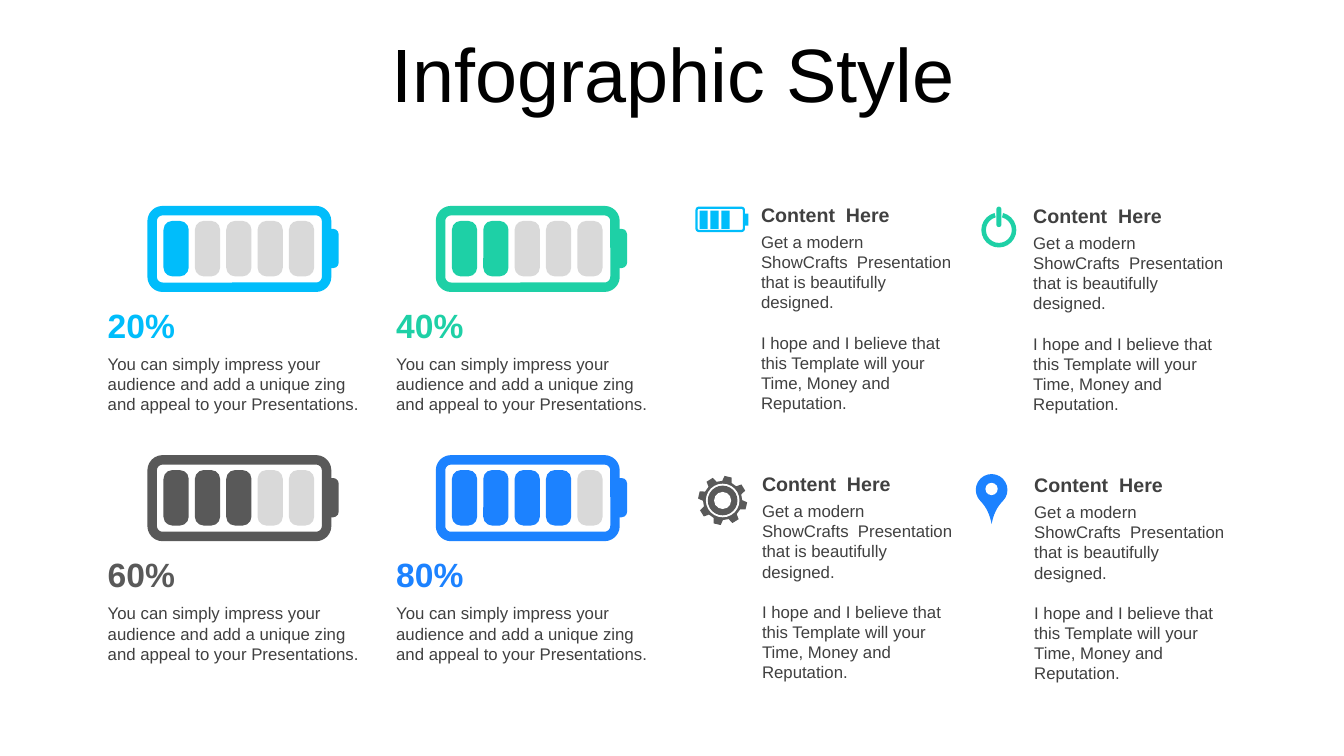
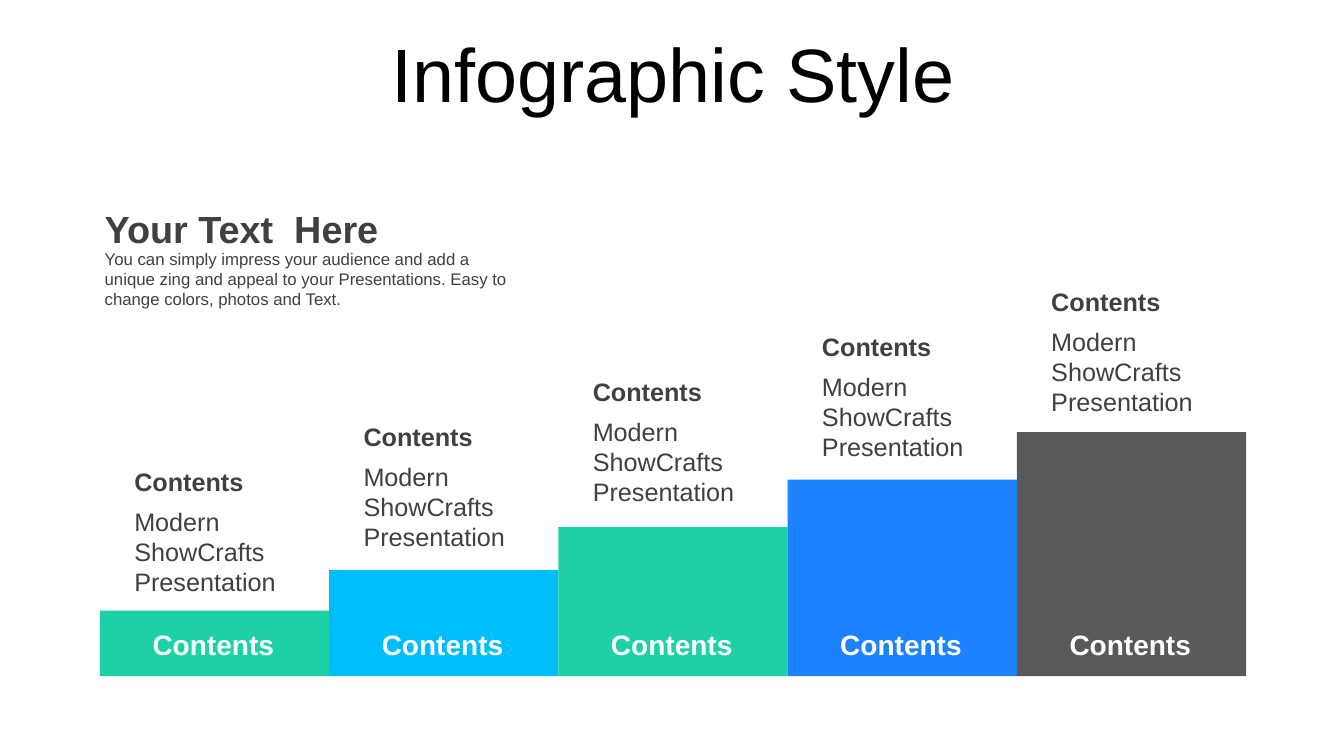
import math

from pptx import Presentation
from pptx.dml.color import RGBColor
from pptx.enum import shapes, text
from pptx.util import Pt

FONT = "Arial"
COLORS = {
    "cyan": "00BDFB",
    "teal": "1ED0A6",
    "gray": "595959",
    "blue": "1C82FF",
    "empty": "D9D9D9",
    "ink": "404040",
    "black": "000000",
    "white": "FFFFFF",
}
KIND = shapes.MSO_SHAPE
ALIGN = text.PP_ALIGN
ANCHOR = text.MSO_ANCHOR


def write(box, *paragraphs, size=12, color="ink", bold=False, align=ALIGN.LEFT,
          anchor=ANCHOR.TOP, left_inset=0, gap=0, line_spacing=None, space_before=0):
    """Fill a box with formatted paragraphs, with gap points between them."""
    frame = box.text_frame
    frame.word_wrap = True
    frame.auto_size = text.MSO_AUTO_SIZE.NONE
    frame.vertical_anchor = anchor
    frame.margin_left, frame.margin_right = Pt(left_inset), Pt(7.2)
    frame.margin_top = frame.margin_bottom = Pt(3.6)
    for index, words in enumerate(paragraphs):
        para = frame.add_paragraph() if index else frame.paragraphs[0]
        para.alignment = align
        para.space_before = Pt(gap if index else space_before)
        para.line_spacing = line_spacing
        span = para.add_run()
        span.text = words
        span.font.name, span.font.size, span.font.bold = FONT, Pt(size), bold
        span.font.color.rgb = RGBColor.from_string(COLORS[color])


def draw(page, kind, left, top, width, height, fill=None, line=None, weight=1, adjust=()):
    shape = page.shapes.add_shape(kind, Pt(left), Pt(top), Pt(width), Pt(height))
    shape.shadow.inherit = False
    for index, value in enumerate(adjust):
        shape.adjustments[index] = value
    if fill:
        shape.fill.solid()
        shape.fill.fore_color.rgb = RGBColor.from_string(COLORS[fill])
    else:
        shape.fill.background()
    if line:
        shape.line.color.rgb = RGBColor.from_string(COLORS[line])
        shape.line.width = Pt(weight)
    else:
        shape.line.fill.background()
    return shape


deck = Presentation()
deck.slide_width, deck.slide_height = Pt(960), Pt(540)
title_only = deck.slide_layouts[5]

pages = []
for title_text in ["Infographic Style"] * 2:
    page = deck.slides.add_slide(title_only)
    title = page.shapes.title
    title.left, title.top, title.width, title.height = Pt(25), Pt(22.3), Pt(911.5), Pt(66.3)
    write(title, title_text, size=54, color="black", align=ALIGN.CENTER,
          anchor=ANCHOR.MIDDLE, left_inset=7.2, line_spacing=0.9, space_before=10)
    pages.append(page)
battery_page, stairs_page = pages

# Battery levels, two by two
CELLS = 5
for index, color in enumerate(["cyan", "teal", "gray", "blue"]):
    row, column = divmod(index, 2)
    left, top = 77 + 206 * column, 150.5 + 178 * row
    level = index + 1
    draw(battery_page, KIND.ROUNDED_RECTANGLE, left + 31.7, top, 124.6, 54.7,
         line=color, weight=6.75, adjust=[0.136])
    draw(battery_page, KIND.ROUNDED_RECTANGLE, left + 154.1, top + 13, 10.8, 28,
         fill=color, adjust=[0.356])
    for cell in range(CELLS):
        draw(battery_page, KIND.ROUNDED_RECTANGLE, left + 39.8 + 22.4 * cell, top + 7.3, 18, 39.6,
             fill=color if cell < level else "empty", adjust=[0.348])
    box = battery_page.shapes.add_textbox(Pt(left), Pt(top + 63.4), Pt(197), Pt(36))
    write(box, f"{100 * level // CELLS}%", size=24, color=color, bold=True, anchor=ANCHOR.MIDDLE)
    box = battery_page.shapes.add_textbox(Pt(left), Pt(top + 98.7), Pt(197), Pt(51))
    write(box, "You can simply impress your audience and add a unique zing "
               "and appeal to your Presentations.")

# Content blocks, two by two
for row in range(2):
    for column in range(2):
        left, top = 543.6 + 194.4 * column + 0.7 * row, 141.1 + 0.7 * column + 192.2 * row
        box = battery_page.shapes.add_textbox(Pt(left), Pt(top), Pt(145), Pt(24.5))
        write(box, "Content  Here", size=14, bold=True, anchor=ANCHOR.MIDDLE)
        box = battery_page.shapes.add_textbox(Pt(left), Pt(top + 20.9), Pt(145), Pt(124))
        write(box, "Get a modern ShowCrafts  Presentation that is beautifully designed.",
              "I hope and I believe that this Template will your Time, Money and Reputation.",
              gap=14.3)

# Small battery icon
draw(battery_page, KIND.ROUNDED_RECTANGLE, 497.6, 148.4, 33.8, 16.6,
     line="cyan", weight=1.6, adjust=[0.1])
draw(battery_page, KIND.RECTANGLE, 532, 152.6, 2.6, 8.6, fill="cyan")
for cell in range(3):
    draw(battery_page, KIND.RECTANGLE, 499.7 + 7.8 * cell, 150.5, 5.9, 13, fill="cyan")

# Power icon: a ring open at the top (block arc angles count 0.6 per degree)
draw(battery_page, KIND.BLOCK_ARC, 701, 151.8, 25, 25, fill="teal",
     adjust=[284 * 0.6, 256 * 0.6, 0.13])
draw(battery_page, KIND.ROUNDED_RECTANGLE, 711.7, 147.6, 3.6, 14.6, fill="teal", adjust=[0.5])

# Gear icon
gear_x, gear_y, teeth = 516.2, 357.5, 8
tooth_profile = [(14, -14), (17.6, -8.5), (17.6, 8.5), (14, 14)]
outline = []
for tooth in range(teeth):
    for radius, offset in tooth_profile:
        angle = math.radians(-77 + 360 / teeth * tooth + offset)
        outline.append((Pt(gear_x + radius * math.cos(angle)),
                        Pt(gear_y + radius * math.sin(angle))))
builder = battery_page.shapes.build_freeform(*outline[0])
builder.add_line_segments(outline[1:])
gear = builder.convert_to_shape()
gear.shadow.inherit = False
gear.fill.solid()
gear.fill.fore_color.rgb = RGBColor.from_string(COLORS["gray"])
gear.line.fill.background()
for radius, color in [(12, "white"), (10.6, "gray"), (6.1, "white")]:
    draw(battery_page, KIND.OVAL, gear_x - radius, gear_y - radius, 2 * radius, 2 * radius,
         fill=color)

# Map pin icon
pin = draw(battery_page, KIND.TEAR, 697, 338.6, 22.6, 22.6, fill="blue", adjust=[1.53])
pin.rotation = 135
draw(battery_page, KIND.OVAL, 703.9, 344.9, 8.8, 8.8, fill="white")

# Rising steps
STEP, BASE = 163.75, 483
steps = [("teal", 436.2), ("cyan", 407.2), ("teal", 376.5), ("blue", 342.6), ("gray", 308.7)]
for index, (color, top) in enumerate(steps):
    left = 71.4 + STEP * index
    draw(stairs_page, KIND.RECTANGLE, left, top, STEP, BASE - top, fill=color)
    box = stairs_page.shapes.add_textbox(Pt(left + 25), Pt(444.2), Pt(119), Pt(31.7))
    write(box, "Contents", size=20, color="white", bold=True, align=ALIGN.CENTER,
          anchor=ANCHOR.MIDDLE)
    heading_top = 329.8 - 32.2 * index
    box = stairs_page.shapes.add_textbox(Pt(left + 24.5), Pt(heading_top), Pt(117.5), Pt(29))
    write(box, "Contents", size=18, bold=True)
    box = stairs_page.shapes.add_textbox(Pt(left + 24.5), Pt(heading_top + 28.3), Pt(117.5), Pt(73))
    write(box, "Modern ShowCrafts  Presentation", size=18)

box = stairs_page.shapes.add_textbox(Pt(67.7), Pt(143.3), Pt(306.7), Pt(40.3))
write(box, "Your Text  Here", size=27, bold=True, left_inset=7.2)
box = stairs_page.shapes.add_textbox(Pt(67.7), Pt(174.2), Pt(306.7), Pt(51))
write(box, "You can simply impress your audience and add a unique zing and appeal to your "
           "Presentations. Easy to change colors, photos and Text.", left_inset=7.2)

deck.save("out.pptx")
